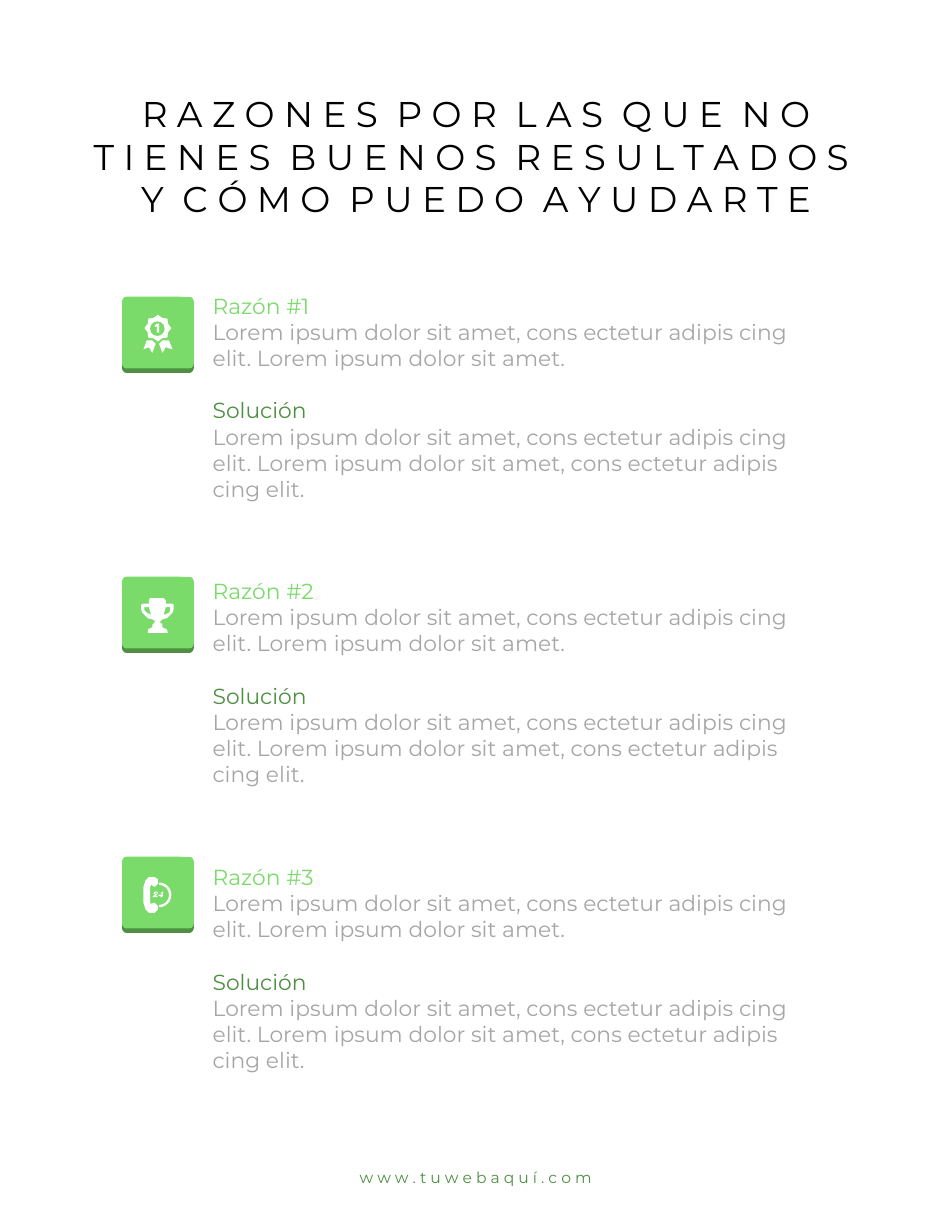
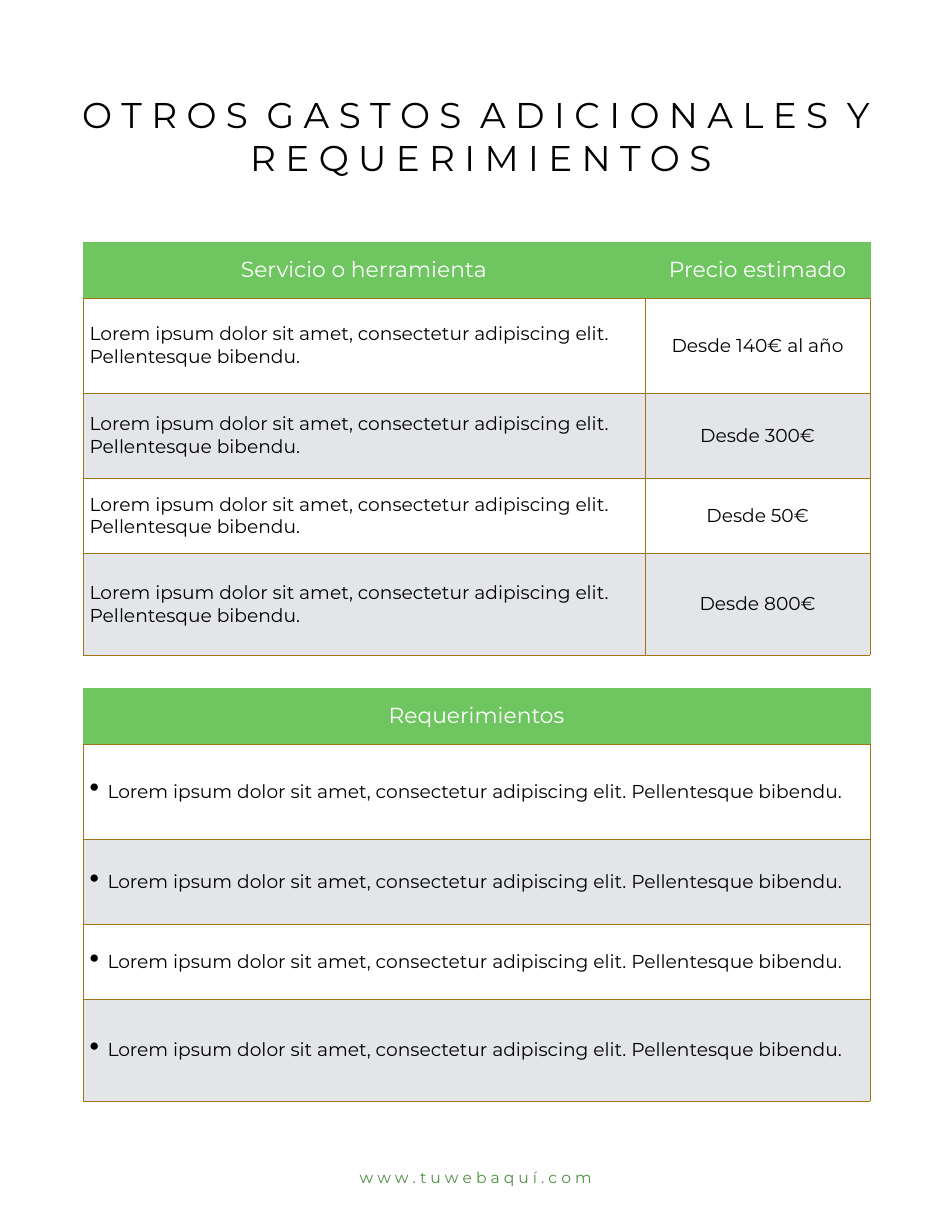
"""Builds two proposal pages: reasons with solutions, and cost tables."""
from lxml import etree
from pptx import Presentation
from pptx.dml.color import RGBColor
from pptx.enum.shapes import MSO_SHAPE as Shp
from pptx.enum.text import MSO_ANCHOR as Anchor
from pptx.enum.text import MSO_AUTO_SIZE as Auto
from pptx.enum.text import PP_ALIGN as Align
from pptx.oxml.ns import qn
from pptx.util import Inches, Pt

FONT = "Montserrat"
BLACK, WHITE, GRAY = "000000", "FFFFFF", "A6A6A6"
LIGHT, DARK, HEAD = "7ADA6A", "4E8F43", "6FC661"
BAND, RULE = "E3E5E8", "A37512"
TILE_X = 1.09

RIBBONS = [
    [(22, 39), (19, 47), (24, 45), (27, 50), (30, 42), (27, 39)],
    [(42, 39), (36, 39), (33, 42), (36, 50), (39, 45), (45, 47)],
]
ONE = [(29, 26), (30, 27), (31, 26), (31, 32), (33, 32), (33, 24), (31, 24)]
CUP = [
    [(46, 29), (45, 32), (43, 34), (40, 37), (36, 38), (34, 40), (34, 41),
     (36, 42), (36, 45), (38, 46), (40, 47), (41, 50), (23, 50), (23, 47),
     (25, 46), (27, 45), (27, 43), (29, 41), (29, 39), (27, 38), (23, 37),
     (20, 34), (18, 32), (17, 29), (17, 25), (19, 24), (24, 24), (24, 21),
     (25, 19), (37, 19), (39, 21), (39, 24), (45, 24), (46, 25)],
    [(26, 34), (25, 31), (24, 27), (20, 27), (20, 30), (22, 32), (24, 33)],
    [(43, 27), (39, 27), (38, 31), (37, 34), (40, 33), (42, 32), (43, 30)],
]
PHONE = [
    [(19, 27), (19, 41), (21, 47), (24, 50), (29, 50), (32, 47), (32, 44),
     (29, 41), (26, 42), (25, 41), (25, 27), (26, 25), (29, 27), (32, 24),
     (32, 20), (29, 18), (24, 18), (21, 21)],
    [(27, 36), (31, 36), (32, 35), (29, 35), (31, 34), (32, 32), (31, 31),
     (29, 31), (28, 33), (30, 33), (30, 32), (31, 32), (31, 33), (29, 34)],
    [(37, 34), (36, 34), (37, 31), (36, 31), (33, 34), (32, 35), (35, 35),
     (34, 36), (36, 36), (36, 35)],
    [(33, 34), (35, 32), (35, 34)],
]


def color(code):
    """Turn a hex string into a colour."""
    return RGBColor.from_string(code)


def spread(text):
    """Set the letters of a text apart."""
    return "  ".join(" ".join(word) for word in text.split())


def add_run(para, text, size, code):
    """Add one styled run to a paragraph."""
    run = para.add_run()
    run.text = text
    font = run.font
    font.name, font.size, font.bold = FONT, Pt(size), False
    font.color.rgb = color(code)


def pad(frame, gap):
    """Set the four margins of a text frame or cell."""
    frame.margin_left = frame.margin_right = Inches(gap)
    frame.margin_top = frame.margin_bottom = Inches(gap)


def paint(shape, code):
    """Give a shape a flat fill and no line or shadow."""
    shape.shadow.inherit = False
    shape.fill.solid()
    shape.fill.fore_color.rgb = color(code)
    shape.line.fill.background()


def add_box(slide, kind, left, top, size, code):
    """Add a square preset shape."""
    shape = slide.shapes.add_shape(
        kind, Inches(left), Inches(top), Inches(size), Inches(size))
    paint(shape, code)
    return shape


def add_form(slide, top, loops):
    """Draw outlines given in hundredths of an inch from the tile corner."""
    build = slide.shapes.build_freeform(*loops[0][0], scale=Inches(0.01))
    build.add_line_segments(loops[0][1:])
    for loop in loops[1:]:
        build.move_to(*loop[0])
        build.add_line_segments(loop[1:])
    paint(build.convert_to_shape(Inches(TILE_X), Inches(top)), WHITE)


def add_tile(slide, top):
    """Add the rounded tile with its dark lower edge."""
    for drop, code in ((0.04, DARK), (0, LIGHT)):
        tile = add_box(slide, Shp.ROUNDED_RECTANGLE, TILE_X, top + drop,
                       0.64, code)
        tile.adjustments[0] = 0.065


def add_medal(slide, top):
    """Draw the first-place medal."""
    for ribbon in RIBBONS:
        add_form(slide, top, [ribbon])
    star = add_box(slide, Shp.STAR_8_POINT, TILE_X + 0.2, top + 0.16,
                   0.24, WHITE)
    star.adjustments[0] = 0.41
    add_box(slide, Shp.OVAL, TILE_X + 0.25, top + 0.22, 0.13, LIGHT)
    add_form(slide, top, [ONE])


def add_cup(slide, top):
    """Draw the trophy."""
    add_form(slide, top, CUP)


def add_phone(slide, top):
    """Draw the handset with its ring."""
    add_form(slide, top, PHONE)
    arc = add_box(slide, Shp.ARC, TILE_X + 0.23, top + 0.24, 0.2, WHITE)
    arc.fill.background()
    arc.adjustments[1] = 54
    arc.line.color.rgb = color(WHITE)
    arc.line.width = Pt(1.5)


def add_title(slide, lines, height, anchor):
    """Place and fill the title."""
    title = slide.shapes.title
    title.left, title.top = Inches(0.64), Inches(0.77)
    title.width, title.height = Inches(7.23), Inches(height)
    frame = title.text_frame
    frame.word_wrap, frame.auto_size = True, Auto.SHAPE_TO_FIT_TEXT
    frame.vertical_anchor = anchor
    pad(frame, 0.06)
    for i, line in enumerate(lines):
        para = frame.add_paragraph() if i else frame.paragraphs[0]
        para.alignment = Align.CENTER
        add_run(para, spread(line), 23, BLACK)


def add_foot(slide):
    """Add the web address at the foot."""
    box = slide.shapes.add_textbox(
        Inches(3.15), Inches(10.37), Inches(2.19), Inches(0.28))
    frame = box.text_frame
    frame.word_wrap, frame.auto_size = False, Auto.SHAPE_TO_FIT_TEXT
    frame.vertical_anchor = Anchor.MIDDLE
    pad(frame, 0.06)
    para = frame.paragraphs[0]
    para.alignment = Align.CENTER
    add_run(para, spread("www.tuwebaquí.com"), 10, DARK)


def add_reason(slide, top, name):
    """Add a reason and its solution."""
    box = slide.shapes.add_textbox(
        Inches(1.8), Inches(top), Inches(5.61), Inches(2.24))
    frame = box.text_frame
    frame.word_wrap = True
    pad(frame, 0.1)
    start = "Lorem ipsum dolor sit amet, cons ectetur adipis cing elit. "
    parts = [
        (name, LIGHT, 0),
        (start + "Lorem ipsum dolor sit amet.", GRAY, 0),
        ("Solución", DARK, 17),
        (start + start.strip(), GRAY, 0),
    ]
    for i, (text, code, gap) in enumerate(parts):
        para = frame.add_paragraph() if i else frame.paragraphs[0]
        if gap:
            para.space_before = Pt(gap)
        add_run(para, text, 14, code)


def add_edge(cell, side, code):
    """Draw one border of a cell."""
    edge = etree.SubElement(cell._tc.get_or_add_tcPr(), qn("a:ln" + side),
                            w=str(Pt(0.25)))
    fill = etree.SubElement(edge, qn("a:solidFill"))
    etree.SubElement(fill, qn("a:srgbClr"), val=code)


def add_bullet(para):
    """Give a paragraph a large hanging bullet."""
    props = para._p.get_or_add_pPr()
    props.set("marL", str(Inches(0.16)))
    props.set("indent", str(-Inches(0.16)))
    etree.SubElement(props, qn("a:buSzPct"), val="150000")
    etree.SubElement(props, qn("a:buChar"), char="•")


def fill_cell(cell, text, row, center, bullet):
    """Style one cell by its row and write its text."""
    head = row == 0
    for side in "LRTB":
        add_edge(cell, side, HEAD if head and side != "B" else RULE)
    cell.fill.solid()
    shade = HEAD if head else (BAND, WHITE)[row % 2]
    cell.fill.fore_color.rgb = color(shade)
    cell.vertical_anchor = Anchor.MIDDLE
    pad(cell, 0.06)
    para = cell.text_frame.paragraphs[0]
    if bullet and not head:
        add_bullet(para)
    para.alignment = Align.CENTER if head or center else Align.LEFT
    add_run(para, text, 14 if head else 12, WHITE if head else BLACK)


def add_grid(slide, top, widths, rows, bullet=False):
    """Add a table with a green head and banded rows."""
    grid = slide.shapes.add_table(
        len(rows), len(widths), Inches(0.74), Inches(top),
        Inches(sum(widths)), Inches(3.7)).table
    for col, width in zip(grid.columns, widths):
        col.width = Inches(width)
    for row, height in zip(grid.rows, (0.5, 0.85, 0.76, 0.67, 0.91)):
        row.height = Inches(height)
    for r, texts in enumerate(rows):
        for c, text in enumerate(texts):
            fill_cell(grid.cell(r, c), text, r, c > 0, bullet)


def reasons(slide):
    """Fill the page of reasons."""
    add_title(slide, ["RAZONES POR LAS QUE NO",
                      "TIENES BUENOS RESULTADOS Y CÓMO PUEDO AYUDARTE"],
              1.24, Anchor.MIDDLE)
    for i, draw in enumerate((add_medal, add_cup, add_phone)):
        top = 2.65 + 2.5 * i
        add_tile(slide, top)
        draw(slide, top)
        add_reason(slide, 2.51 + 2.55 * i, f"Razón #{i + 1}")
    add_foot(slide)


def costs(slide):
    """Fill the page of costs and requirements."""
    add_title(slide, ["OTROS GASTOS ADICIONALES Y REQUERIMIENTOS"],
              0.86, Anchor.TOP)
    item = ("Lorem ipsum dolor sit amet, consectetur adipiscing elit. "
            "Pellentesque bibendu.")
    prices = ("140€ al año", "300€", "50€", "800€")
    add_grid(slide, 2.16, (5.02, 2.01),
             [("Servicio o herramienta", "Precio estimado")]
             + [(item, "Desde " + price) for price in prices])
    add_grid(slide, 6.14, (7.03,),
             [("Requerimientos",)] + [(item,)] * 4, bullet=True)
    add_foot(slide)


def main():
    """Build and save the deck."""
    deck = Presentation()
    deck.slide_width, deck.slide_height = Inches(8.5), Inches(11)
    for fill in (reasons, costs):
        fill(deck.slides.add_slide(deck.slide_layouts[5]))
    deck.save("out.pptx")


if __name__ == "__main__":
    main()
